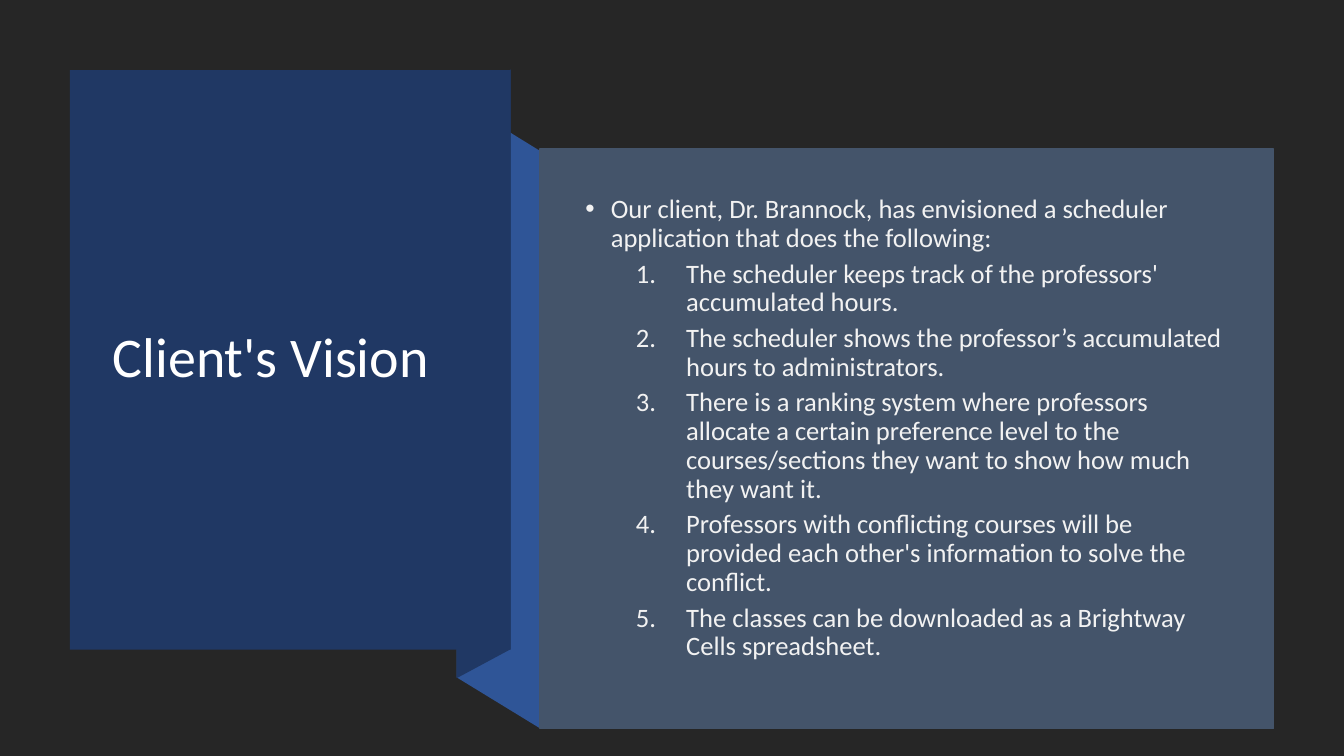
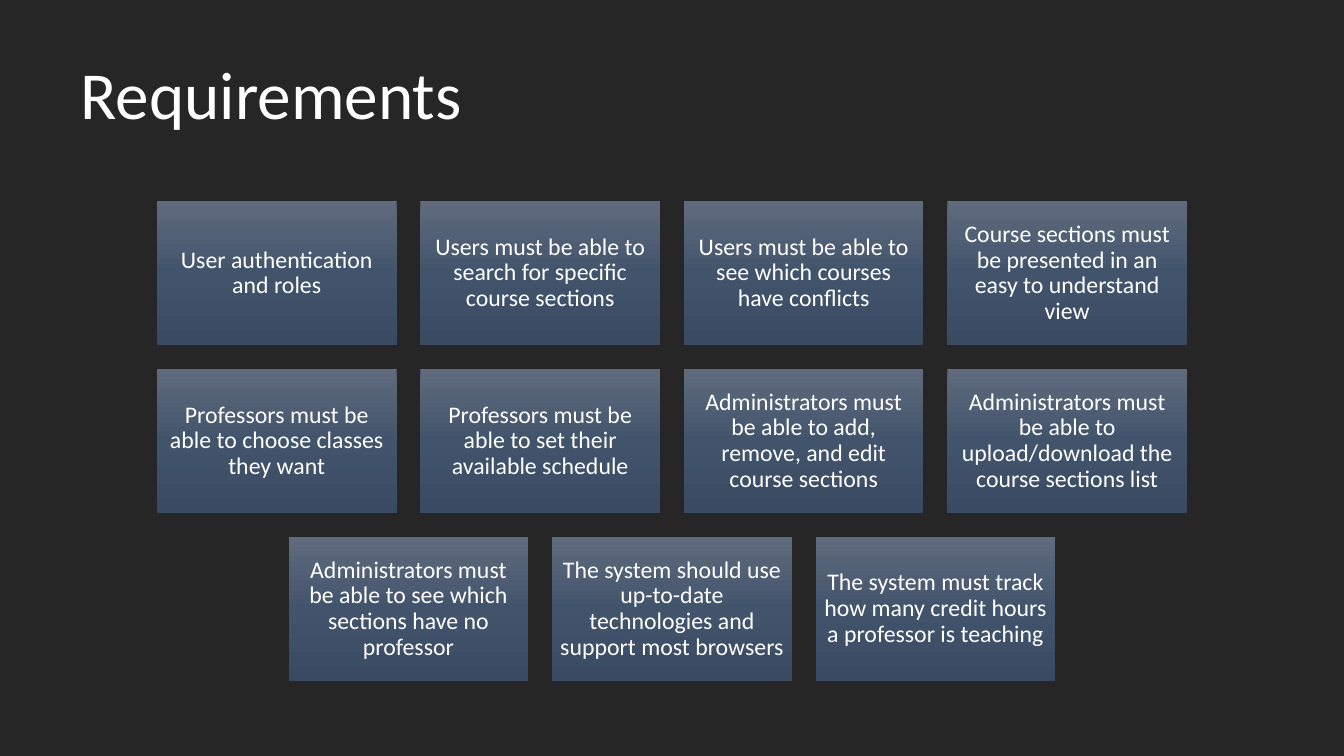
import copy
from lxml import etree
from pptx import Presentation
from pptx.dml.color import RGBColor
from pptx.enum import shapes, text
from pptx.oxml import ns
from pptx.util import Cm, Pt

FONT = "Calibri"
DARK = RGBColor(0x26, 0x26, 0x26)
NAVY = RGBColor(0x20, 0x38, 0x64)
BLUE = RGBColor(0x2F, 0x55, 0x97)
SLATE = RGBColor(0x44, 0x54, 0x6A)
WHITE = RGBColor(0xFF, 0xFF, 0xFF)
PALE = RGBColor(0xF2, 0xF2, 0xF2)
TILE_STOPS = [(0, RGBColor(0x60, 0x6B, 0x7D)),
              (0.5, RGBColor(0x42, 0x54, 0x6C)),
              (1, RGBColor(0x39, 0x4A, 0x62))]

SLIDE_W, SLIDE_H = 33.87, 19.05
TILE_W, TILE_H, TILE_GAP, TILE_TOP = 6.04, 3.63, 0.6, 5.07

VISION_INTRO = ("Our client, Dr. Brannock, has envisioned a scheduler "
                "application that does the following:")
VISION_STEPS = [
    "The scheduler keeps track of the professors' accumulated hours.",
    "The scheduler shows the professor’s accumulated hours to administrators.",
    "There is a ranking system where professors allocate a certain preference "
    "level\u00a0to the courses/sections they want to show how much they want it.",
    "Professors with conflicting courses will be provided each other's "
    "information to solve the conflict.",
    "The classes can be downloaded as a Brightway Cells spreadsheet.",
]
REQUIREMENT_ROWS = [
    ["User authentication and roles",
     "Users must be able to search for specific course sections",
     "Users must be able to see which courses have conflicts",
     "Course sections must be presented in an easy to understand view"],
    ["Professors must be able to choose classes they want",
     "Professors must be able to set their available schedule",
     "Administrators must be able to add, remove, and edit course sections",
     "Administrators must be able to upload/download the course sections list"],
    ["Administrators must be able to see which sections have no professor",
     "The system should use up-to-date technologies and support most browsers",
     "The system must track how many credit hours a professor is teaching"],
]


def format_paragraph(p, size, color, align=text.PP_ALIGN.LEFT, before=0):
    p.alignment = align
    p.line_spacing = 0.9
    p.space_before = Pt(before)
    for r in p.runs:
        r.font.name = FONT
        r.font.size = Pt(size)
        r.font.color.rgb = color


def place(sp, left, top, width, height):
    sp.left, sp.top, sp.width, sp.height = map(Cm, (left, top, width, height))
    tf = sp.text_frame
    tf.word_wrap = True
    tf.auto_size = text.MSO_AUTO_SIZE.NONE
    tf.vertical_anchor = text.MSO_ANCHOR.MIDDLE
    sp.element.getparent().append(sp.element)


def set_title(s, title, size, *box):
    sp = s.shapes.title
    place(sp, *box)
    sp.text_frame.text = title
    format_paragraph(sp.text_frame.paragraphs[0], size, WHITE)


def set_bullet(p, tag, left, hanging, **attributes):
    pPr = p._p.get_or_add_pPr()
    pPr.set("marL", str(Cm(left)))
    pPr.set("indent", str(-Cm(hanging)))
    etree.SubElement(pPr, ns.qn(tag), attributes)


def paint(sp, color):
    sp.shadow.inherit = False
    sp.fill.solid()
    sp.fill.fore_color.rgb = color
    sp.line.fill.background()


def add_panel(s, color, *box):
    sp = s.shapes.add_shape(shapes.MSO_SHAPE.RECTANGLE, *map(Cm, box))
    paint(sp, color)
    return sp


def add_outline(s, color, points):
    start, *rest = [(Cm(x), Cm(y)) for x, y in points]
    builder = s.shapes.build_freeform(*start)
    builder.add_line_segments(rest, close=True)
    paint(builder.convert_to_shape(), color)


def add_tile(s, left, top, label):
    sp = s.shapes.add_shape(shapes.MSO_SHAPE.RECTANGLE,
                            Cm(left), Cm(top), Cm(TILE_W), Cm(TILE_H))
    sp.shadow.inherit = False
    sp.line.fill.background()
    sp.fill.gradient()
    sp.fill.gradient_angle = 270
    stop_list = sp.element.find(".//" + ns.qn("a:gsLst"))
    stop_list.append(copy.deepcopy(stop_list[0]))
    for stop, (position, color) in zip(sp.fill.gradient_stops, TILE_STOPS):
        stop.position = position
        stop.color.rgb = color
    tf = sp.text_frame
    tf.word_wrap = True
    tf.vertical_anchor = text.MSO_ANCHOR.MIDDLE
    tf.margin_left = tf.margin_right = tf.margin_top = tf.margin_bottom = Cm(0.18)
    tf.text = label
    format_paragraph(tf.paragraphs[0], 17, WHITE, text.PP_ALIGN.CENTER)


def build_vision(prs):
    s = prs.slides.add_slide(prs.slide_layouts[1])
    add_outline(s, BLUE, [(13.62, 18.36), (11.51, 17.07), (11.51, 2.51), (13.62, 3.81)])
    add_outline(s, NAVY, [(12.87, 16.36), (11.51, 17.09), (11.51, 2.49), (12.87, 1.75)])
    add_panel(s, NAVY, 1.76, 1.77, 11.11, 14.6)
    set_title(s, "Client's Vision", 40, 2.59, 2.72, 9.42, 12.67)
    card = add_panel(s, SLATE, 13.61, 3.76, 18.49, 14.6)
    card.line.color.rgb = SLATE
    card.line.width = Pt(1)

    body = s.placeholders[1]
    place(body, 14.5, 4.78, 16.54, 12.04)
    tf = body.text_frame
    tf.text = VISION_INTRO
    intro = tf.paragraphs[0]
    format_paragraph(intro, 19, PALE, before=10)
    set_bullet(intro, "a:buChar", 0.64, 0.64, char="•")
    for step in VISION_STEPS:
        p = tf.add_paragraph()
        p.text = step
        p.level = 1
        format_paragraph(p, 19, PALE, before=5)
        set_bullet(p, "a:buAutoNum", 2.54, 1.27, type="arabicPeriod")


def build_requirements(prs):
    s = prs.slides.add_slide(prs.slide_layouts[5])
    set_title(s, "Requirements", 48, 1.78, 0.89, 30.3, 3.15)
    for row, labels in enumerate(REQUIREMENT_ROWS):
        row_width = len(labels) * (TILE_W + TILE_GAP) - TILE_GAP
        left = (SLIDE_W - row_width) / 2
        top = TILE_TOP + row * (TILE_H + TILE_GAP)
        for column, label in enumerate(labels):
            add_tile(s, left + column * (TILE_W + TILE_GAP), top, label)


def main():
    prs = Presentation()
    prs.slide_width, prs.slide_height = Cm(SLIDE_W), Cm(SLIDE_H)
    background = prs.slide_master.background.fill
    background.solid()
    background.fore_color.rgb = DARK
    build_vision(prs)
    build_requirements(prs)
    prs.save("out.pptx")


main()
